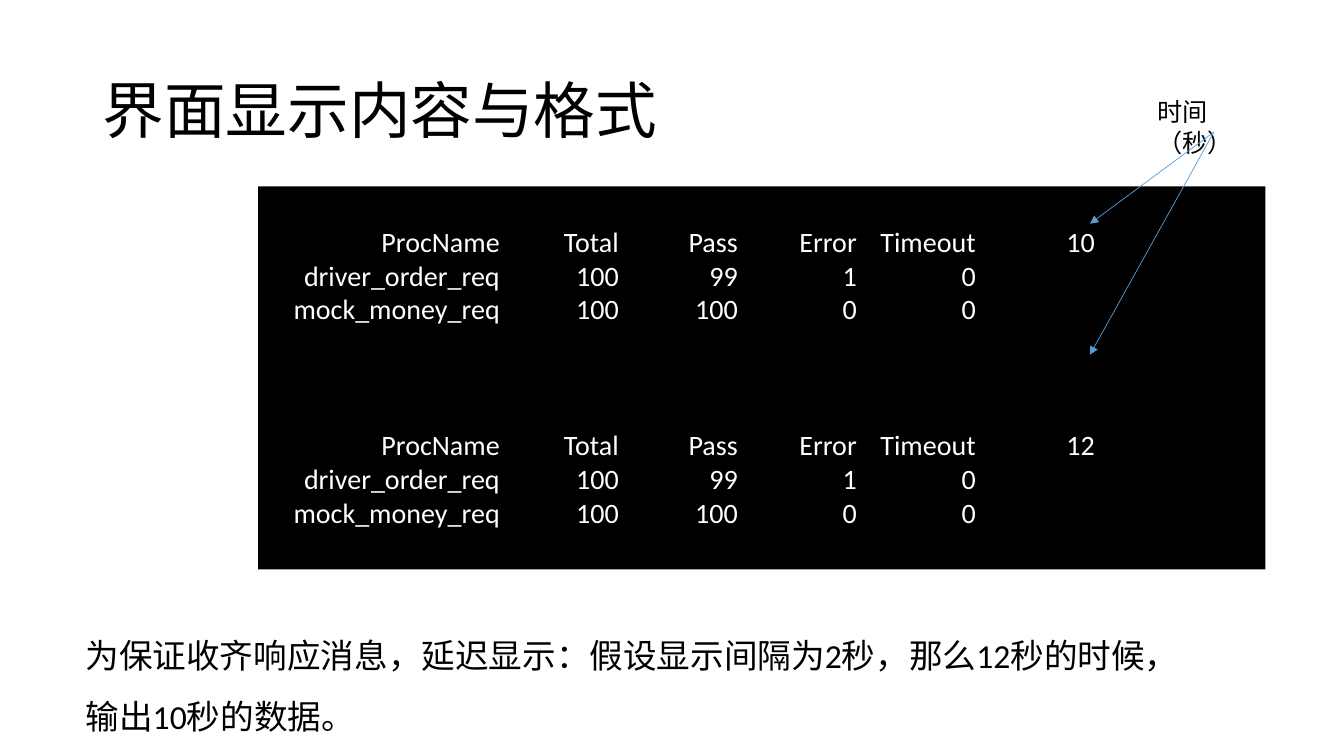
from pptx import Presentation
from pptx.dml.color import RGBColor
from pptx.enum import shapes, text
from pptx.oxml.ns import qn
from pptx.util import Inches, Pt
from lxml import etree

BLACK = RGBColor(0x00, 0x00, 0x00)
WHITE = RGBColor(0xFF, 0xFF, 0xFF)
BLUE = RGBColor(0x5B, 0x9B, 0xD5)
FONT = "Calibri"

HEADINGS = ["ProcName", "Total", "Pass", "Error", "Timeout"]
RESULTS = [
    ["driver_order_req", "100", "99", "1", "0"],
    ["mock_money_req", "100", "100", "0", "0"],
]
SECONDS = ["10", "12"]
FIRST_TAB, TAB_STEP = 2.3, 1.18


def format_paragraph(p, size, color):
    for r in p.runs:
        r.font.name = FONT
        r.font.size = Pt(size)
        r.font.color.rgb = color


def add_text(s, left, top, width, height, words, size, spacing=1.0,
             anchor=text.MSO_ANCHOR.TOP):
    sp = s.shapes.add_textbox(Inches(left), Inches(top), Inches(width), Inches(height))
    tf = sp.text_frame
    tf.word_wrap = True
    tf.vertical_anchor = anchor
    tf.text = words
    p = tf.paragraphs[0]
    p.line_spacing = spacing
    format_paragraph(p, size, BLACK)


def add_right_tabs(p, count):
    """Set evenly spaced right-aligned tab stops, one per column."""
    tabs = etree.SubElement(p._p.get_or_add_pPr(), qn("a:tabLst"))
    for i in range(count):
        position = Inches(FIRST_TAB + i * TAB_STEP)
        etree.SubElement(tabs, qn("a:tab"), pos=str(int(position)), algn="r")


def add_console(s):
    """Draw the black screen with one report per display time."""
    sp = s.shapes.add_shape(shapes.MSO_SHAPE.RECTANGLE, Inches(2.56), Inches(1.85),
                            Inches(9.99), Inches(3.8))
    sp.shadow.inherit = False
    sp.fill.solid()
    sp.fill.fore_color.rgb = BLACK
    sp.line.fill.background()
    tf = sp.text_frame
    tf.word_wrap = True
    tf.vertical_anchor = text.MSO_ANCHOR.TOP
    tf.margin_top = Inches(0.38)
    rows = [row for sec in SECONDS for row in [HEADINGS + [sec]] + RESULTS]
    tf.text = "\n".join("\t" + "\t".join(row) for row in rows)
    for i, (p, row) in enumerate(zip(tf.paragraphs, rows)):
        p.alignment = text.PP_ALIGN.LEFT
        if i == len(RESULTS) + 1:
            p.space_before = Pt(73)
        add_right_tabs(p, len(row))
        format_paragraph(p, 20, WHITE)


def add_arrow(s, x1, y1, x2, y2):
    line = s.shapes.add_connector(shapes.MSO_CONNECTOR.STRAIGHT, Inches(x1),
                                  Inches(y1), Inches(x2), Inches(y2))
    line.line.color.rgb = BLUE
    line.line.width = Pt(0.5)
    etree.SubElement(line.line._get_or_add_ln(), qn("a:tailEnd"), type="triangle")
    etree.SubElement(line._element.spPr, qn("a:effectLst"))


def main():
    prs = Presentation()
    prs.slide_width, prs.slide_height = Inches(13.33), Inches(7.5)
    s = prs.slides.add_slide(prs.slide_layouts[6])
    add_console(s)
    add_text(s, 0.92, 0.4, 11.5, 1.45, "界面显示内容与格式", 44, 0.9,
             text.MSO_ANCHOR.MIDDLE)
    add_text(s, 11.38, 0.91, 1.31, 0.4, "时间（秒）", 18)
    for target_y in (2.22, 3.52):
        add_arrow(s, 12.04, 1.31, 10.81, target_y)
    add_text(s, 0.75, 6.05, 11.29, 1.24,
             "为保证收齐响应消息，延迟显示：假设显示间隔为2秒，那么12秒的时候，输出10秒的数据。",
             24, 1.5)
    prs.save("out.pptx")


if __name__ == "__main__":
    main()
